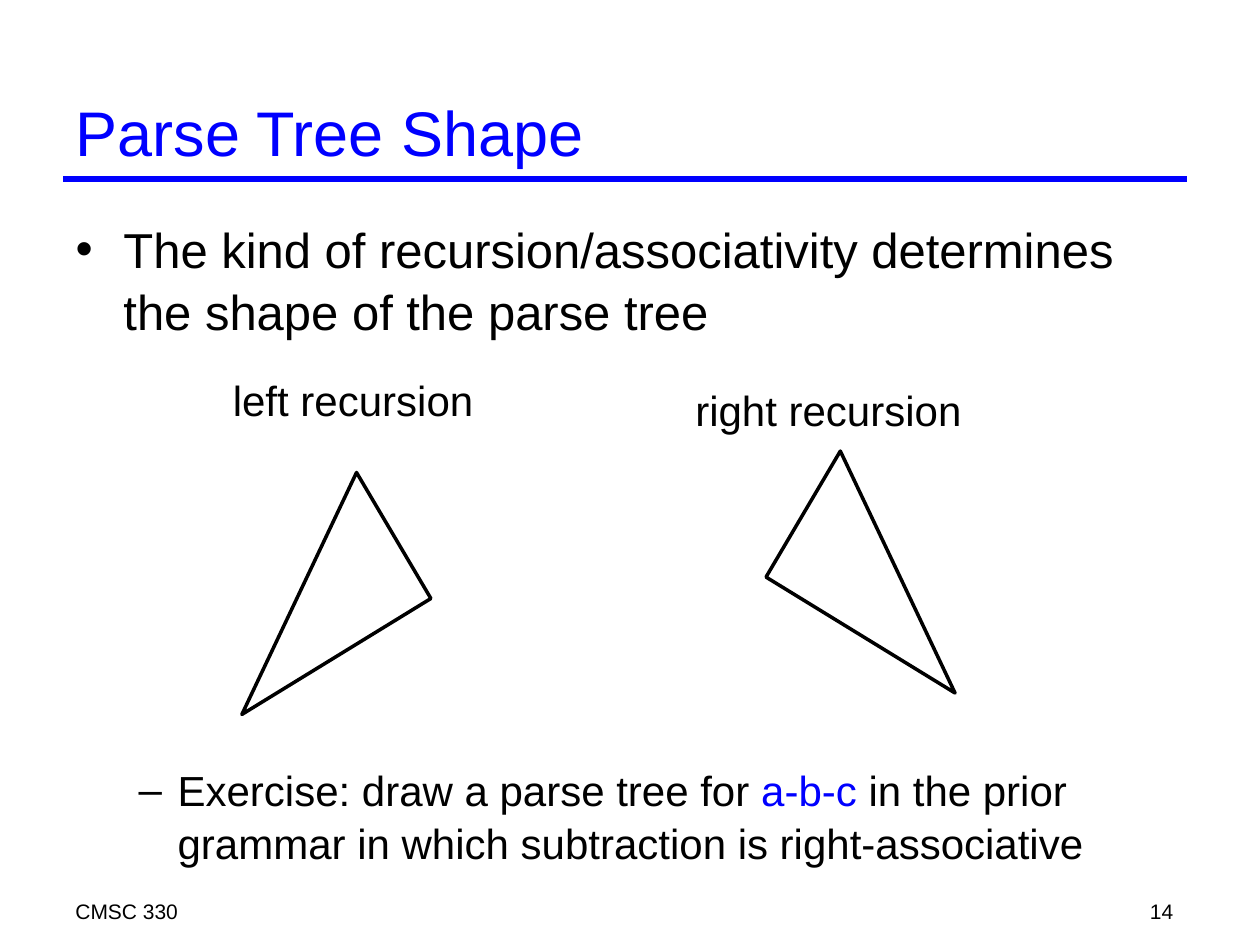
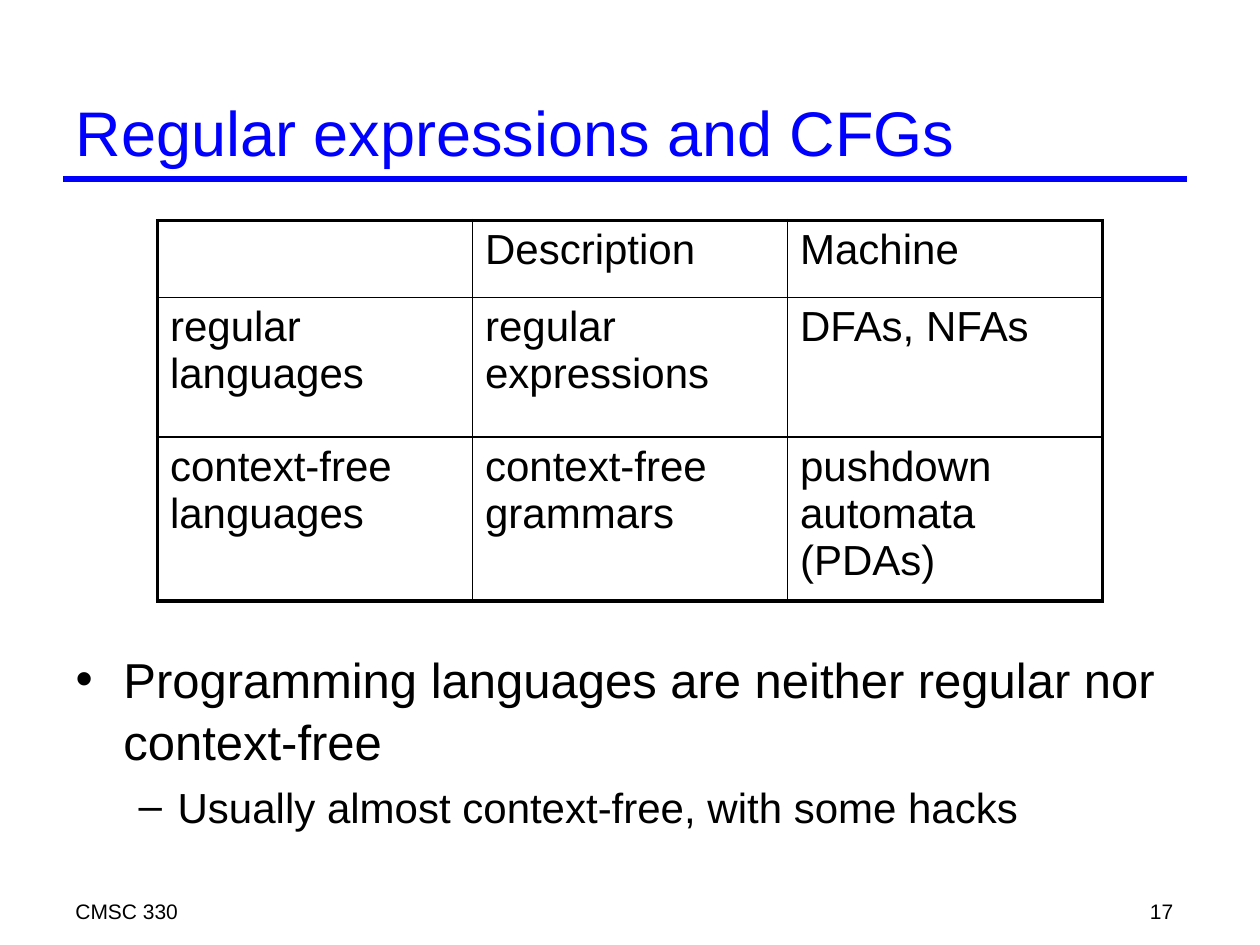
from pptx import Presentation
from pptx.dml.color import RGBColor
from pptx.enum.shapes import MSO_CONNECTOR as Connector
from pptx.enum.text import MSO_ANCHOR as Anchor, MSO_AUTO_SIZE as AutoSize, PP_ALIGN as Align
from pptx.oxml.ns import qn
from pptx.util import Inches, Pt
from lxml.etree import SubElement

COLORS = {"accent": "0000FF", "text": "000000"}
FONT = "Arial"
LEFT, WIDTH = 0.5, 8.92
# Per list level: bullet, size, left indent, hanging indent
LEVELS = [("•", 28, 0.38, 0.38), ("–", 24, 0.81, 0.31)]


def color(name):
    return RGBColor.from_string(COLORS[name])


def place(shape, box):
    shape.left, shape.top, shape.width, shape.height = map(Inches, box)


def add_run(paragraph, text, size=24, tone="text"):
    run = paragraph.add_run()
    run.text = text
    run.font.name, run.font.size = FONT, Pt(size)
    run.font.color.rgb = color(tone)


def add_text(slide, box, text, size=24, align=Align.LEFT, wrap=True):
    frame = slide.shapes.add_textbox(*map(Inches, box)).text_frame
    frame.word_wrap = wrap
    frame.paragraphs[0].alignment = align
    add_run(frame.paragraphs[0], text, size=size)


def add_base_slide(presentation, title, number):
    """Slide with title, rule and footer."""
    slide = presentation.slides.add_slide(presentation.slide_layouts[1])

    # Title
    place(slide.shapes.title, (LEFT, 0.67, WIDTH, 0.75))
    frame = slide.shapes.title.text_frame
    frame.vertical_anchor, frame.auto_size = Anchor.MIDDLE, AutoSize.NONE
    frame.paragraphs[0].alignment = Align.LEFT
    add_run(frame.paragraphs[0], title, size=36, tone="accent")

    # Rule under the title
    rule = slide.shapes.add_connector(
        Connector.STRAIGHT, Inches(LEFT), Inches(1.42), Inches(LEFT + WIDTH), Inches(1.42))
    rule.line.color.rgb, rule.line.width = color("accent"), Pt(3)
    SubElement(rule._element.spPr, qn("a:effectLst"))

    # Footer
    add_text(slide, (LEFT, 7.08, 6.08, 0.25), "CMSC 330", size=12)
    add_text(slide, (7.33, 7.08, 2.08, 0.25), str(number), size=12, align=Align.RIGHT)
    return slide


def fill_body(slide, box, items):
    """Each item is (level, space before, runs); a run is (text, tone)."""
    body = slide.placeholders[1]
    place(body, box)
    frame = body.text_frame
    frame.auto_size, frame.vertical_anchor = AutoSize.NONE, Anchor.TOP
    for index, (level, space_before, runs) in enumerate(items):
        paragraph = frame.add_paragraph() if index else frame.paragraphs[0]
        bullet, size, indent, hanging = LEVELS[level]
        properties = paragraph._p.get_or_add_pPr()
        properties.set("marL", str(Inches(indent)))
        properties.set("indent", str(-Inches(hanging)))
        SubElement(properties, qn("a:buChar"), char=bullet)
        paragraph.level, paragraph.alignment = level, Align.LEFT
        paragraph.line_spacing, paragraph.space_before = 1.05, Pt(space_before)
        for text, tone in runs:
            add_run(paragraph, text, size=size, tone=tone)


def add_tree_outline(slide, left, top, mirrored=False):
    """Leaning triangle that stands for a parse tree."""
    width = 1.5
    corners = [(0.91, 0), (0, 1.92), (width, 1)]
    points = [(Inches(left + (width - x if mirrored else x)), Inches(top + y))
              for x, y in corners]
    builder = slide.shapes.build_freeform(*points[0])
    builder.add_line_segments(points[1:], close=True)
    outline = builder.convert_to_shape()
    outline.shadow.inherit = False
    outline.fill.background()
    outline.line.color.rgb, outline.line.width = color("text"), Pt(2)


def set_borders(cell, widths):
    properties = cell._tc.get_or_add_tcPr()
    for side, width in widths.items():
        line = SubElement(properties, qn(f"a:ln{side}"), w=str(Pt(width)))
        fill = SubElement(line, qn("a:solidFill"))
        SubElement(fill, qn("a:srgbClr"), val=COLORS["text"])


def add_language_table(slide, box, rows, heights):
    """Grid with a thick frame and thin inner lines."""
    row_count, column_count = len(rows), len(rows[0])
    table = slide.shapes.add_table(row_count, column_count, *map(Inches, box)).table
    table.first_row = table.horz_banding = False
    thick, thin = 2.25, 1
    for row, texts in enumerate(rows):
        table.rows[row].height = Inches(heights[row])
        for column, text in enumerate(texts):
            cell = table.cell(row, column)
            set_borders(cell, {
                "L": thin if column else thick,
                "R": thick if column == column_count - 1 else thin,
                "T": thin if row else thick,
                "B": thick if row == row_count - 1 else thin,
            })
            cell.fill.background()
            if text:
                add_run(cell.text_frame.paragraphs[0], text)


def build_tree_slide(presentation):
    slide = add_base_slide(presentation, "Parse Tree Shape", 14)
    # The wide gap leaves room for the two outlines
    fill_body(slide, (LEFT, 1.67, WIDTH, 5.33), [
        (0, 0, [("The kind of recursion/associativity determines "
                 "the shape of the parse tree", "text")]),
        (1, 241, [("Exercise: draw a parse tree for ", "text"),
                  ("a-b-c", "accent"),
                  (" in the prior grammar in which subtraction is right-associative", "text")]),
    ])
    add_text(slide, (1.75, 2.92, 2.14, 0.5), "left recursion", wrap=False)
    add_text(slide, (5.42, 3, 2.58, 0.5), "right recursion", wrap=False)
    add_tree_outline(slide, 1.92, 3.75)
    add_tree_outline(slide, 6.08, 3.58, mirrored=True)


def build_language_slide(presentation):
    slide = add_base_slide(presentation, "Regular expressions and CFGs", 17)
    fill_body(slide, (LEFT, 5.08, WIDTH, 2.17), [
        (0, 0, [("Programming languages are neither regular nor context-free", "text")]),
        (1, 5, [("Usually almost context-free, with some hacks", "text")]),
    ])
    add_language_table(slide, (1.25, 1.75, 7.5, 2.83), [
        ("", "Description", "Machine"),
        ("regular languages", "regular expressions", "DFAs, NFAs"),
        ("context-free languages", "context-free grammars", "pushdown automata (PDAs)"),
    ], heights=(0.61, 1.11, 1.11))


def main():
    presentation = Presentation()
    presentation.slide_width, presentation.slide_height = Inches(10), Inches(7.5)
    build_tree_slide(presentation)
    build_language_slide(presentation)
    presentation.save("out.pptx")


if __name__ == "__main__":
    main()
